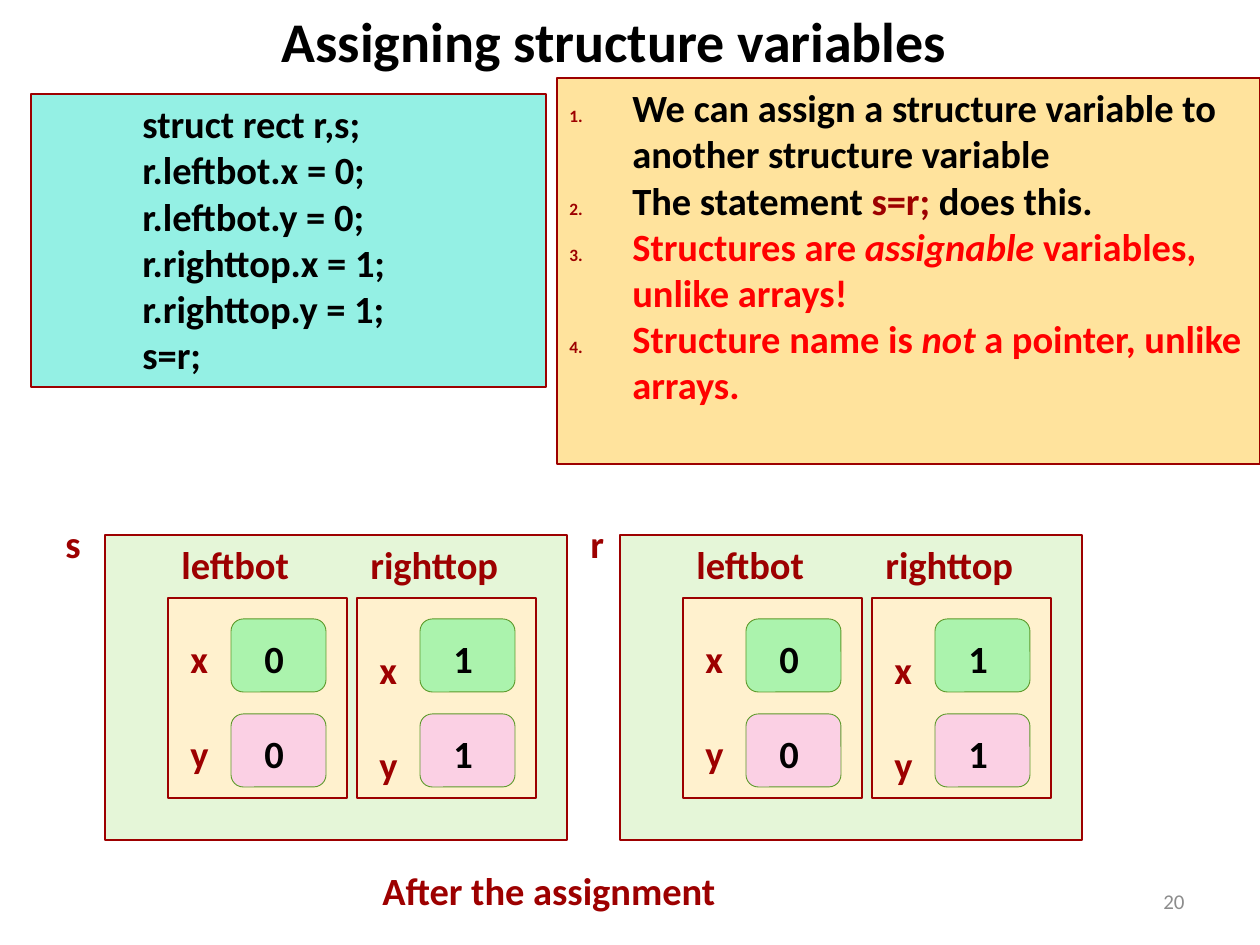
"""Build the slide on assigning structure variables."""
from typing import NamedTuple

from lxml import etree
from pptx import Presentation
from pptx import util as u
from pptx.dml.color import RGBColor
from pptx.enum import shapes, text
from pptx.oxml.ns import qn

SCALE = 914400 / 126
FONT = "Calibri"
COLOURS = {
    "black": "000000", "maroon": "9D0000", "red": "FF0000", "grey": "8C8C8C",
    "outer": "E5F6D8", "panel": "FFF1CE", "x": "ABF3AD", "y": "FBD0E4",
    "cell_line": "5D9A2B", "code": "94F0E4", "notes": "FFE39D",
}
RECT = shapes.MSO_SHAPE.RECTANGLE
ROUNDED = shapes.MSO_SHAPE.ROUNDED_RECTANGLE
STEP = 95


class Area(NamedTuple):
    """A place on the page in pixels."""
    left: int
    top: int
    width: int
    height: int


class Span(NamedTuple):
    """A piece of text in one style."""
    words: str
    colour: str = "black"
    italic: bool = False


class Member(NamedTuple):
    """A point inside a structure, with its label and value."""
    name: str
    value: str
    name_width: int
    label_top: int


class Variable(NamedTuple):
    """A structure variable and its place."""
    name: str
    left: int
    name_left: int


CODE = ["struct rect r,s;", "r.leftbot.x = 0;", "r.leftbot.y = 0;",
        "r.righttop.x = 1;", "r.righttop.y = 1;", "s=r;"]
NOTES = [
    [Span("We can assign a structure variable to another structure variable")],
    [Span("The statement "), Span("s=r;", "maroon"), Span(" does this.")],
    [Span("Structures are ", "red"), Span("assignable", "red", True),
     Span(" variables, unlike arrays!", "red")],
    [Span("Structure name is ", "red"), Span("not", "red", True),
     Span(" a pointer, unlike arrays.", "red")],
]
MEMBERS = [Member("leftbot", "0", 135, 31), Member("righttop", "1", 155, 42)]
VARIABLES = [Variable("r", 620, 578), Variable("s", 105, 53)]


def px(pixels: int) -> int:
    """Turn pixels into EMU."""
    return round(pixels * SCALE)


def rgb(name: str) -> RGBColor:
    """Look up a colour."""
    return RGBColor.from_string(COLOURS[name])


def add_spans(para, spans: list[Span], size: int = 22, bold: bool = True) -> None:
    """Add styled runs to a paragraph."""
    for span in spans:
        run = para.add_run()
        run.text = span.words
        run.font.name, run.font.size = FONT, u.Pt(size)
        run.font.bold, run.font.italic = bold, span.italic
        run.font.color.rgb = rgb(span.colour)


def add_box(page, area: Area, fill: str, line: str = "maroon",
            kind=RECT, weight: float = 0.75):
    """Draw a filled and outlined shape."""
    box = page.shapes.add_shape(kind, *map(px, area))
    box.shadow.inherit = False
    box.fill.solid()
    box.fill.fore_color.rgb = rgb(fill)
    box.line.color.rgb = rgb(line)
    box.line.width = u.Pt(weight)
    return box


def add_label(page, area: Area, span: Span, size: int = 22, bold: bool = True,
              align=text.PP_ALIGN.LEFT, wrap: bool = False):
    """Place one line of text."""
    box = page.shapes.add_textbox(*map(px, area))
    box.text_frame.word_wrap = wrap
    para = box.text_frame.paragraphs[0]
    para.alignment = align
    add_spans(para, [span], size, bold)
    return box


def number(para) -> None:
    """Give a paragraph a small maroon number."""
    props = para._p.get_or_add_pPr()
    colour = etree.SubElement(props, qn("a:buClr"))
    etree.SubElement(colour, qn("a:srgbClr"), val=COLOURS["maroon"])
    etree.SubElement(props, qn("a:buSzPct"), val="45000")
    etree.SubElement(props, qn("a:buAutoNum"), type="arabicPeriod")


def add_text_panel(page, area: Area, fill: str, lines: list[list[Span]],
                   margin: int, hanging: int = 0) -> None:
    """Draw a panel of indented lines, numbered when they hang."""
    frame = add_box(page, area, fill).text_frame
    frame.word_wrap = True
    frame.vertical_anchor = text.MSO_ANCHOR.TOP
    for index, spans in enumerate(lines):
        para = frame.add_paragraph() if index else frame.paragraphs[0]
        para.alignment = text.PP_ALIGN.LEFT
        props = para._p.get_or_add_pPr()
        props.set("marL", str(px(margin)))
        props.set("indent", str(px(-hanging)))
        if hanging:
            number(para)
        add_spans(para, spans)


def add_member(page, member: Member, left: int, top: int) -> None:
    """Draw one point with its x and y cells."""
    add_label(page, Area(left + 1, top - 63, member.name_width, 59),
              Span(member.name, "maroon"))
    add_box(page, Area(left, top, 179, 200), "panel")
    for row, field in enumerate("xy"):
        shift = top + row * STEP
        add_box(page, Area(left + 63, shift + 21, 95, 73), field,
                "cell_line", ROUNDED, 0.5)
        add_label(page, Area(left + 10, shift + member.label_top, 43, 59),
                  Span(field, "maroon"))
        add_label(page, Area(left + 84, shift + 31, 44, 59), Span(member.value))


def add_variable(page, variable: Variable) -> None:
    """Draw a structure variable with its members."""
    add_label(page, Area(variable.name_left, 514, 40, 59),
              Span(variable.name, "maroon"))
    add_box(page, Area(variable.left, 535, 462, 305), "outer")
    for column, member in enumerate(MEMBERS):
        add_member(page, member, variable.left + 63 + column * 189, 598)


def main() -> None:
    """Build and save the deck."""
    deck = Presentation()
    deck.slide_width, deck.slide_height = px(1260), px(945)
    page = deck.slides.add_slide(deck.slide_layouts[6])
    add_label(page, Area(-31, 0, 1291, 79), Span("Assigning structure variables"),
              32, align=text.PP_ALIGN.CENTER, wrap=True)
    add_text_panel(page, Area(557, 78, 703, 386), "notes", NOTES, 63, 63)
    add_text_panel(page, Area(31, 94, 515, 293), "code",
                   [[Span(line)] for line in CODE], 99)
    for variable in VARIABLES:
        add_variable(page, variable)
    add_label(page, Area(370, 861, 363, 59), Span("After the assignment", "maroon"))
    page_number = add_label(page, Area(903, 876, 294, 50), Span("20", "grey"), 12,
                            False, text.PP_ALIGN.RIGHT, True)
    page_number.text_frame.vertical_anchor = text.MSO_ANCHOR.MIDDLE
    deck.save("out.pptx")


main()
